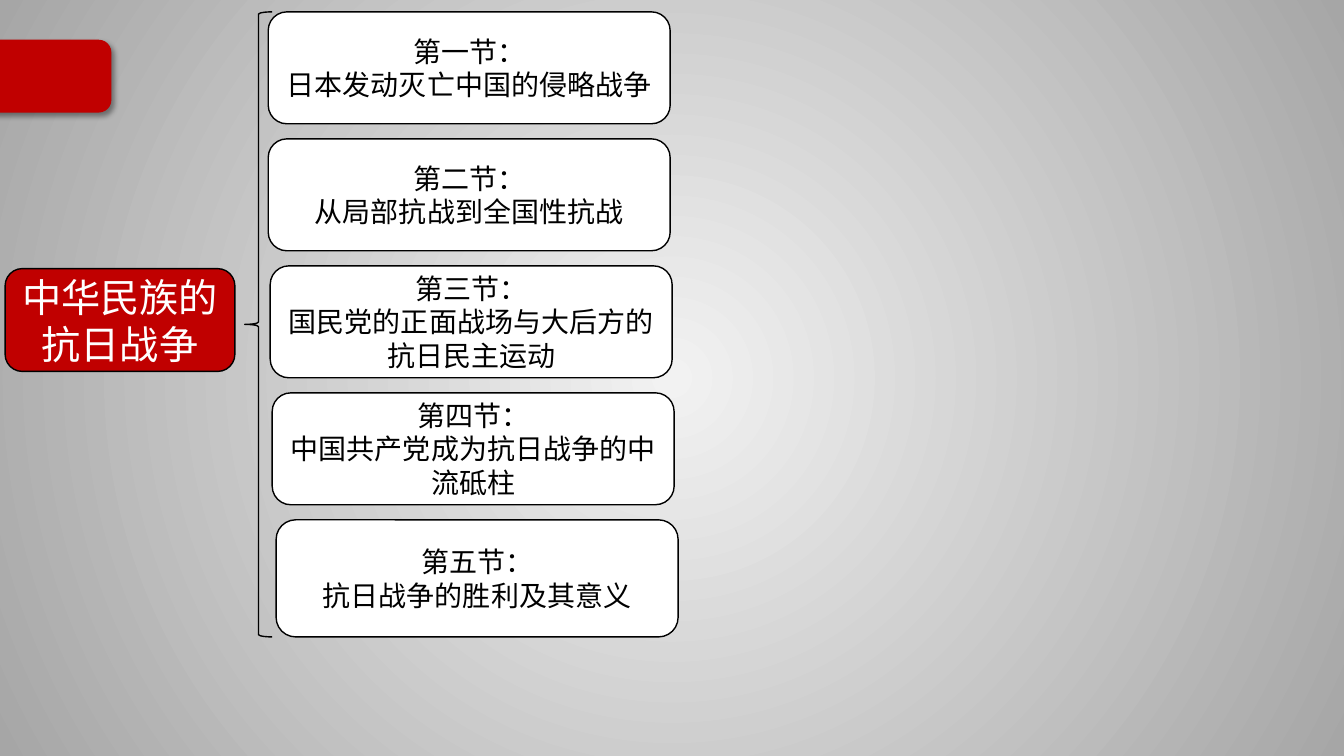
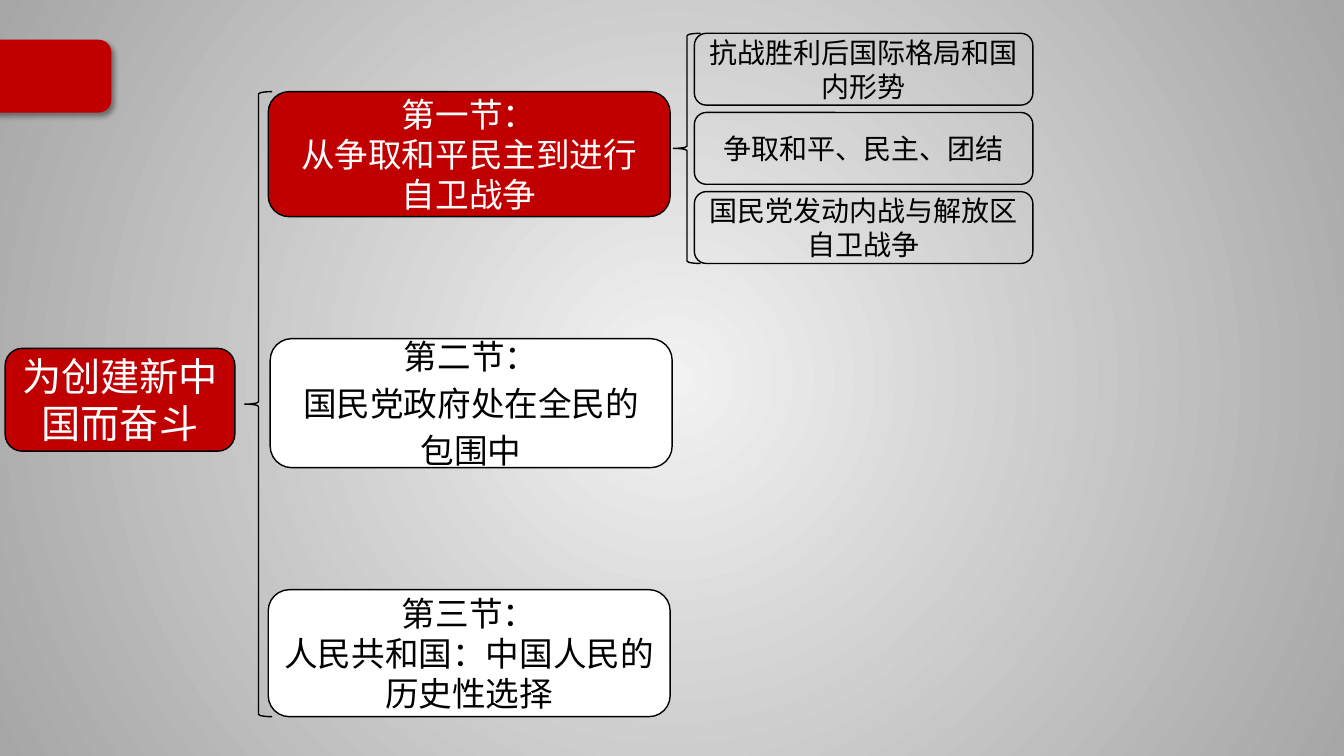
from dataclasses import dataclass

from pptx import Presentation
from pptx.dml.color import RGBColor as Rgb
from pptx.enum.shapes import MSO_SHAPE as Preset
from pptx.enum.text import MSO_ANCHOR as Anchor, PP_ALIGN as Align
from pptx.oxml import parse_xml
from pptx.oxml.ns import nsdecls, qn
from pptx.util import Cm, Pt


# Shared colours, font and type sizes
@dataclass(frozen=True)
class Theme:
    red: str = "C00000"
    black: str = "000000"
    white: str = "FFFFFF"
    glow: str = "F2F2F2"
    edge: str = "A6A6A6"
    font: str = "Noto Sans CJK SC"
    topic_size: int = 28
    large_size: int = 24
    small_size: int = 20
    line_width: int = 1


THEME = Theme()


@dataclass(frozen=True)
class Box:
    """A rectangle in centimetres."""
    left: float
    top: float
    width: float
    height: float


@dataclass(frozen=True)
class Section:
    lines: tuple
    height: float
    indent: float = 0
    active: bool = False
    space_before: int = 0


# Outline measures in centimetres, relative to the top left of its box
TOPIC = Box(0.13, 6.47, 5.79, 2.59)
BRACE_LEFT, BRACE_WIDTH = 6.17, 0.69
SECTION_LEFT, SECTION_WIDTH = 6.76, 10.13
OUTLINE_WIDTH, OUTLINE_HEIGHT = SECTION_LEFT + SECTION_WIDTH, 15.75
POINT_INDENT, POINT_HEIGHT = 0.53, 1.81

BAND = Box(-0.46, 1.02, 3.25, 1.8)

WAR_SECTIONS = [
    Section(("第一节：", "日本发动灭亡中国的侵略战争"), 2.82),
    Section(("第二节：", "从局部抗战到全国性抗战"), 2.82),
    Section(("第三节：", "国民党的正面战场与大后方的抗日民主运动"), 2.82, 0.05),
    Section(("第四节：", "中国共产党成为抗日战争的中流砥柱"), 2.82, 0.1),
    Section(("第五节：", "抗日战争的胜利及其意义"), 2.95, 0.2),
]
NATION_SECTIONS = [
    Section(("第一节：", "从争取和平民主到进行", "自卫战争"), 3.15, active=True),
    Section(("第二节：", "国民党政府处在全民的", "包围中"), 3.25, 0.05,
            space_before=5),
    Section(("第三节：", "人民共和国：中国人民的历史性选择"), 3.2),
]
PEACE_POINTS = [
    "抗战胜利后国际格局和国内形势",
    "争取和平、民主、团结",
    "国民党发动内战与解放区自卫战争",
]


def add_preset(page, preset, box, fill=None, line=THEME.black):
    shape = page.shapes.add_shape(
        preset, Cm(box.left), Cm(box.top), Cm(box.width), Cm(box.height))
    shape.shadow.inherit = False
    if fill:
        shape.fill.solid()
        shape.fill.fore_color.rgb = Rgb.from_string(fill)
    else:
        shape.fill.background()
    shape.line.color.rgb = Rgb.from_string(line)
    shape.line.width = Pt(THEME.line_width)
    return shape


def add_card(page, box, lines, size, fill=None, color=THEME.black,
             space_before=0):
    card = add_preset(page, Preset.ROUNDED_RECTANGLE, box, fill)
    frame = card.text_frame
    frame.word_wrap = True
    frame.vertical_anchor = Anchor.MIDDLE
    frame.text = "\n".join(lines)
    for index, para in enumerate(frame.paragraphs):
        para.alignment = Align.CENTER
        if index and space_before:
            para.space_before = Pt(space_before)
        for span in para.runs:
            span.font.size = Pt(size)
            span.font.color.rgb = Rgb.from_string(color)
            span.font.name = THEME.font
            # East Asian text takes its own typeface element
            span.font._element.append(parse_xml(
                f'<a:ea {nsdecls("a")} typeface="{THEME.font}"/>'))


def spread(top, total, heights):
    """Give the tops of stacked boxes that fill a height with equal gaps."""
    gap = (total - sum(heights)) / (len(heights) - 1)
    return [top + sum(heights[:i]) + gap * i for i in range(len(heights))]


# Topic, brace and the column of sections
def draw_outline(page, box, topic, sections, size):
    add_card(page, Box(box.left + TOPIC.left, box.top + TOPIC.top,
                       TOPIC.width, TOPIC.height),
             [topic], THEME.topic_size, THEME.red, THEME.white)
    add_preset(page, Preset.LEFT_BRACE,
               Box(box.left + BRACE_LEFT, box.top, BRACE_WIDTH, box.height))
    left = box.left + SECTION_LEFT
    width = box.width - SECTION_LEFT
    tops = spread(box.top, box.height, [part.height for part in sections])
    for top, part in zip(tops, sections):
        fill, color = ((THEME.red, THEME.white) if part.active
                       else (THEME.white, THEME.black))
        add_card(page, Box(left + part.indent, top, width, part.height),
                 part.lines, size, fill, color, part.space_before)


# Brace and the points of one section
def draw_points(page, box, points):
    add_preset(page, Preset.LEFT_BRACE,
               Box(box.left, box.top, BRACE_WIDTH, box.height))
    tops = spread(box.top, box.height, [POINT_HEIGHT] * len(points))
    for top, point in zip(tops, points):
        add_card(page, Box(box.left + POINT_INDENT, top,
                           box.width - POINT_INDENT, POINT_HEIGHT),
                 [point], THEME.small_size)


# Radial background for every slide
def set_background(master):
    content = master.element.cSld
    for old in content.findall(qn("p:bg")):
        content.remove(old)
    content.insert(0, parse_xml(
        f'<p:bg {nsdecls("p", "a")}><p:bgPr><a:gradFill rotWithShape="1">'
        f'<a:gsLst><a:gs pos="0"><a:srgbClr val="{THEME.glow}"/></a:gs>'
        f'<a:gs pos="100000"><a:srgbClr val="{THEME.edge}"/></a:gs></a:gsLst>'
        '<a:path path="circle"><a:fillToRect l="50000" t="50000" r="50000"'
        ' b="50000"/></a:path></a:gradFill><a:effectLst/></p:bgPr></p:bg>'))


# Red band, drawn on a page and then moved to the master
def move_band_to_master(page, master):
    band = add_preset(page, Preset.ROUNDED_RECTANGLE, BAND,
                      THEME.red, THEME.red)
    effects = band.element.spPr.find(qn("a:effectLst"))
    effects.append(parse_xml(
        f'<a:outerShdw {nsdecls("a")} blurRad="{Pt(4)}" dist="{Pt(3)}"'
        ' dir="2700000" algn="tl" rotWithShape="0">'
        f'<a:srgbClr val="{THEME.black}"><a:alpha val="40000"/></a:srgbClr>'
        '</a:outerShdw>'))
    band.element.nvSpPr.cNvPr.set("id", "20")
    master.shapes.element.append(band.element)


def main():
    deck = Presentation()
    deck.slide_width, deck.slide_height = Cm(33.87), Cm(19.05)
    blank = deck.slide_layouts[6]
    set_background(deck.slide_master)

    war_page = deck.slides.add_slide(blank)
    move_band_to_master(war_page, deck.slide_master)
    draw_outline(war_page, Box(0, 0.3, OUTLINE_WIDTH, OUTLINE_HEIGHT),
                 "中华民族的抗日战争", WAR_SECTIONS, THEME.small_size)

    nation_page = deck.slides.add_slide(blank)
    draw_outline(nation_page, Box(0, 2.31, OUTLINE_WIDTH, OUTLINE_HEIGHT),
                 "为创建新中国而奋斗", NATION_SECTIONS, THEME.large_size)
    draw_points(nation_page, Box(16.97, 0.84, 9.06, 5.8), PEACE_POINTS)

    deck.save("out.pptx")


if __name__ == "__main__":
    main()
